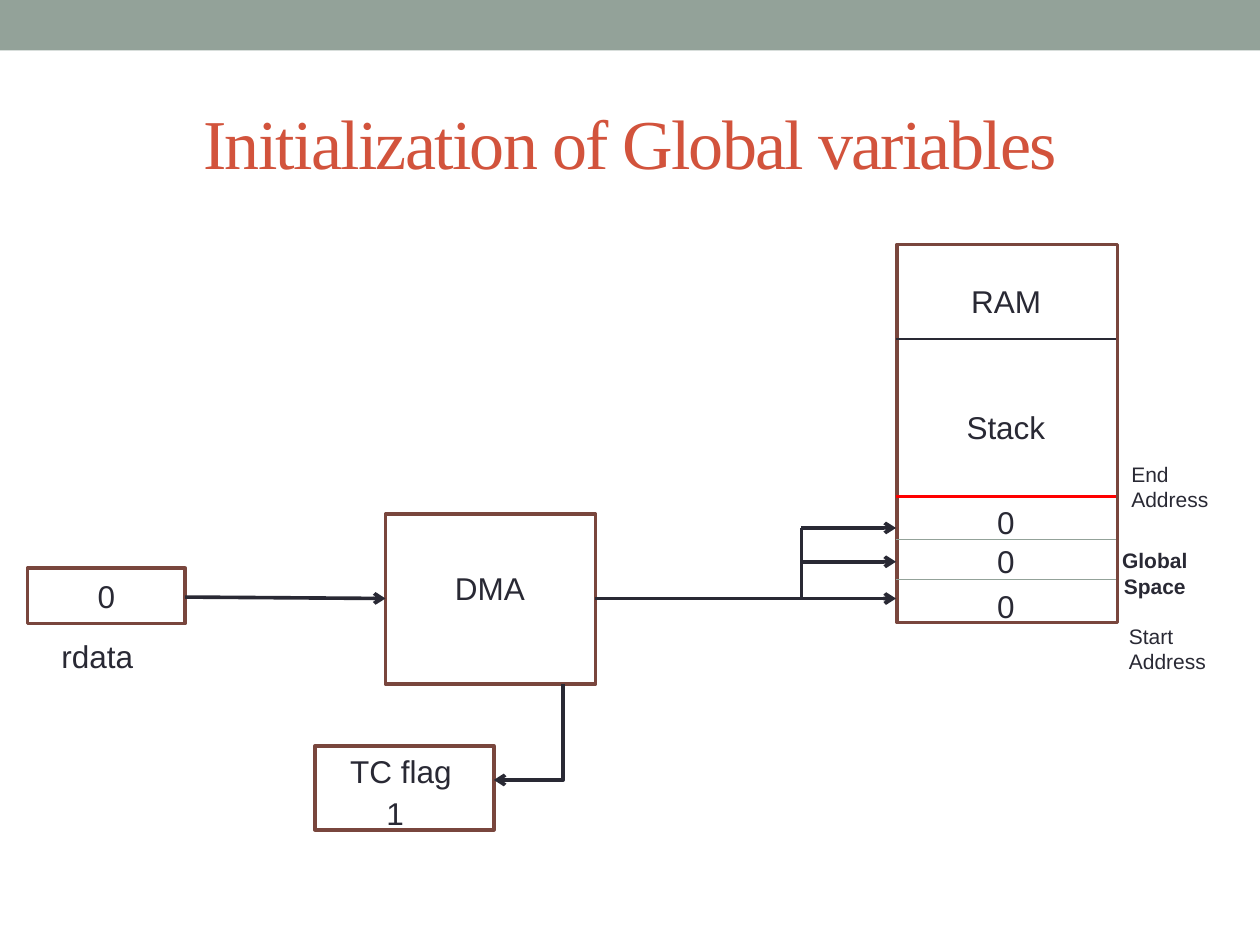
from lxml import etree
from pptx import Presentation
from pptx.dml.color import RGBColor
from pptx.enum import shapes, text
from pptx.oxml import ns
from pptx.util import Pt

INK = RGBColor(0x29, 0x29, 0x34)
BROWN = RGBColor(0x79, 0x46, 0x3D)
SAGE = RGBColor(0x93, 0xA2, 0x99)
RED = RGBColor(0xFF, 0, 0)
TITLE = RGBColor(0xD2, 0x53, 0x3C)
WHITE = RGBColor(0xFF, 0xFF, 0xFF)
CENTER, LEFT = text.PP_ALIGN.CENTER, text.PP_ALIGN.LEFT
THICK, THIN = 2.08, 0.75


def write(tf, content, size=18, align=CENTER, color=INK, font="Arial", bold=False):
    tf.text = content
    tf.word_wrap = True
    for p in tf.paragraphs:
        p.alignment = align
        for r in p.runs:
            r.font.size = Pt(size)
            r.font.name = font
            r.font.bold = bold
            r.font.color.rgb = color


def add_title(s, content):
    sp = s.shapes.title
    sp.left, sp.top, sp.width, sp.height = Pt(36), Pt(41.8), Pt(648), Pt(77.8)
    write(sp.text_frame, content, 40, color=TITLE, font="Times New Roman")
    sp.text_frame.vertical_anchor = text.MSO_ANCHOR.MIDDLE
    sp.text_frame.paragraphs[0].runs[0].font._element.set("spc", "-100")


def add_box(s, x, y, w, h, fill=WHITE, line=BROWN):
    sp = s.shapes.add_shape(shapes.MSO_SHAPE.RECTANGLE, Pt(x), Pt(y), Pt(w), Pt(h))
    sp.shadow.inherit = False
    sp.fill.solid()
    sp.fill.fore_color.rgb = fill
    if line is None:
        sp.line.fill.background()
    else:
        sp.line.color.rgb = line
        sp.line.width = Pt(THICK)
    return sp


def add_label(s, x, y, w, h, content, **style):
    tf = s.shapes.add_textbox(Pt(x), Pt(y), Pt(w), Pt(h)).text_frame
    write(tf, content, **style)
    tf.auto_size = text.MSO_AUTO_SIZE.SHAPE_TO_FIT_TEXT


def add_line(s, x1, y1, x2, y2, color=INK, width=THICK, arrow=False):
    c = s.shapes.add_connector(shapes.MSO_CONNECTOR.STRAIGHT,
                               Pt(x1), Pt(y1), Pt(x2), Pt(y2))
    c.line.color.rgb = color
    c.line.width = Pt(width)
    if arrow:
        etree.SubElement(c.line._get_or_add_ln(), ns.qn("a:tailEnd"), type="arrow")
    etree.SubElement(c._element.spPr, ns.qn("a:effectLst"))
    return c


def add_elbow(s, x1, y1, x2, y2):
    """Arrow that runs down from the start, then left to the end."""
    across, down = x1 - x2, y2 - y1
    mid_x, mid_y = (x1 + x2) / 2, (y1 + y2) / 2
    c = add_line(s, mid_x - down / 2, mid_y - across / 2,
                 mid_x + down / 2, mid_y + across / 2, arrow=True)
    sp_pr = c._element.spPr
    sp_pr.find(ns.qn("a:xfrm")).set("rot", "5400000")
    sp_pr.find(ns.qn("a:prstGeom")).set("prst", "bentConnector2")


def draw_ram(s):
    left, right = 512, 638
    add_box(s, 512.6, 139.7, 126, 216)
    for y, color, width in ((283.7, RED, THICK), (193.7, INK, THIN),
                            (308.2, SAGE, THIN), (331.2, SAGE, THIN)):
        add_line(s, left, y, right, y, color, width)
    add_label(s, 524, 157.7, 102, 29, "RAM")
    add_label(s, 532.8, 229.7, 84, 30, "Stack")
    for y in (283.7, 306, 332):
        add_label(s, 532.8, y, 84, 29, "0")
    # Address notes beside the memory
    add_label(s, 639.4, 260, 84, 36, "End\nAddress", size=12, align=LEFT)
    add_label(s, 610.6, 309.6, 98.6, 36, "Global\nSpace", size=12, bold=True)
    add_label(s, 638, 352.8, 84, 36, "Start\nAddress", size=12, align=LEFT)


def draw_dma(s):
    add_box(s, 220.3, 293.8, 120, 97.2)
    add_label(s, 244, 321.8, 72, 29, "DMA")
    # Source register
    rdata = add_box(s, 15.8, 324.7, 90, 31.7)
    write(rdata.text_frame, "0")
    rdata.text_frame.vertical_anchor = text.MSO_ANCHOR.MIDDLE
    add_label(s, 28, 360.7, 65.5, 29, "rdata", align=LEFT)
    # Completion flag
    add_box(s, 180, 426.2, 102.2, 48)
    add_label(s, 193, 426.2, 77.8, 29, "TC flag", align=LEFT)
    add_label(s, 213.8, 450, 36, 29, "1", align=LEFT)


def draw_flow(s):
    branch, bus = 458, 342
    add_line(s, 105.8, 341.2, 220.3, bus, arrow=True)
    add_line(s, 340, bus, branch, bus)
    add_line(s, branch, 301.7, branch, bus)
    for y in (301.7, 321, bus):
        add_line(s, branch, y, 512, y, arrow=True)
    add_elbow(s, 321.8, 391, 282.2, 445.7)


def main():
    prs = Presentation()
    prs.slide_width, prs.slide_height = Pt(720), Pt(540)
    s = prs.slides.add_slide(prs.slide_layouts[5])
    add_box(s, 0, 0, 720, 28.8, SAGE, None)
    add_title(s, "Initialization of Global variables")
    draw_ram(s)
    draw_dma(s)
    draw_flow(s)
    prs.save("out.pptx")


main()
